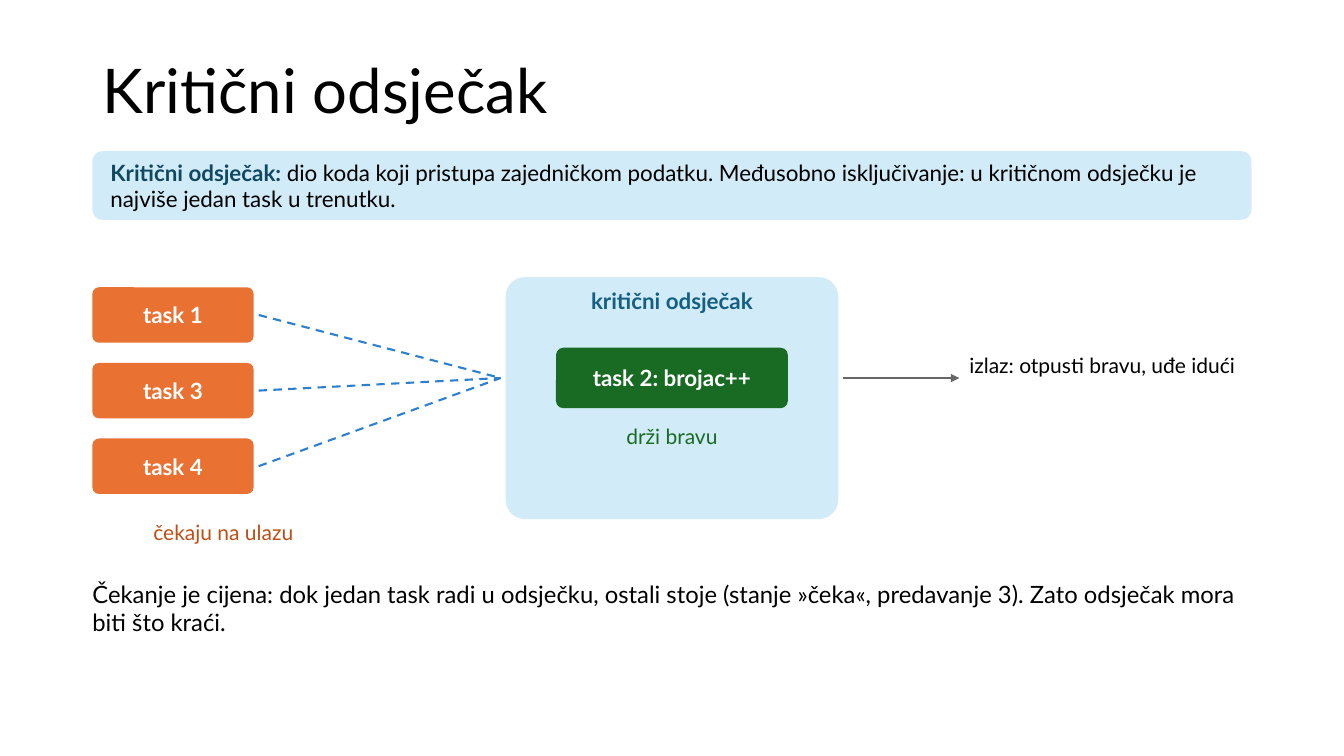
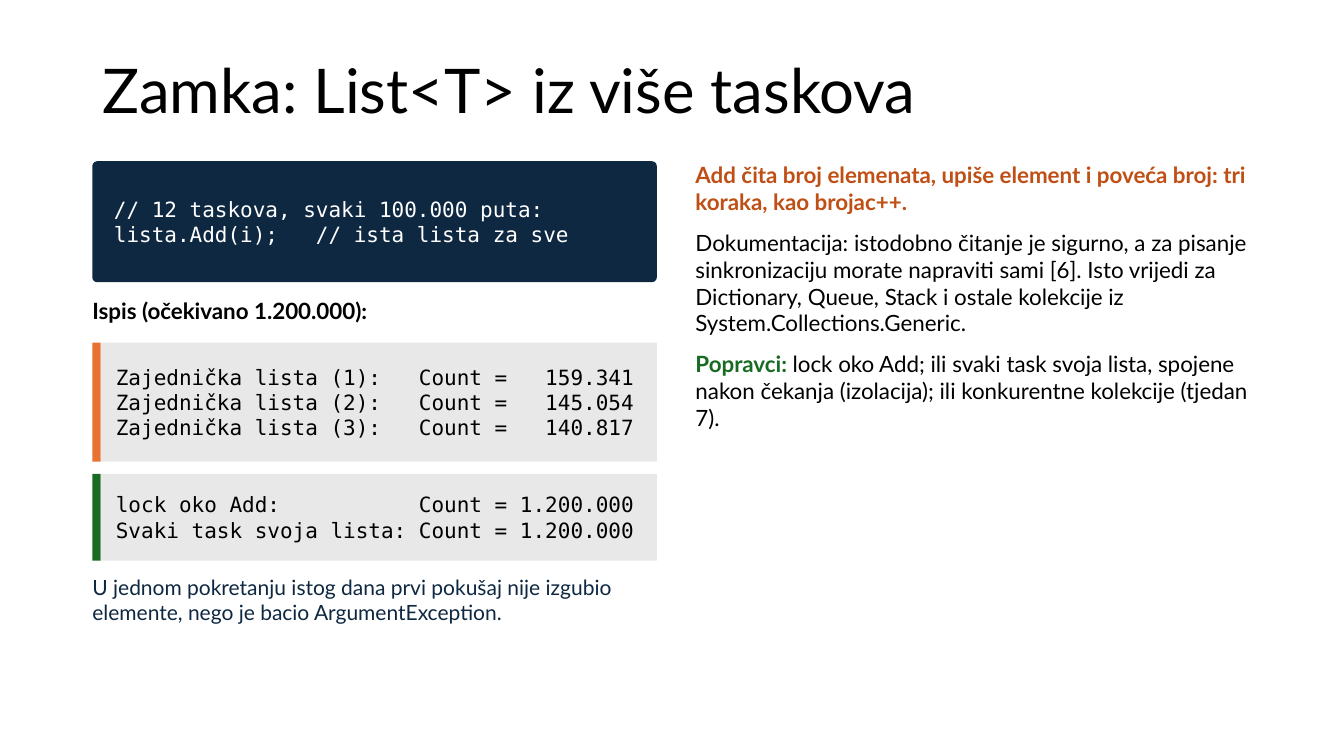
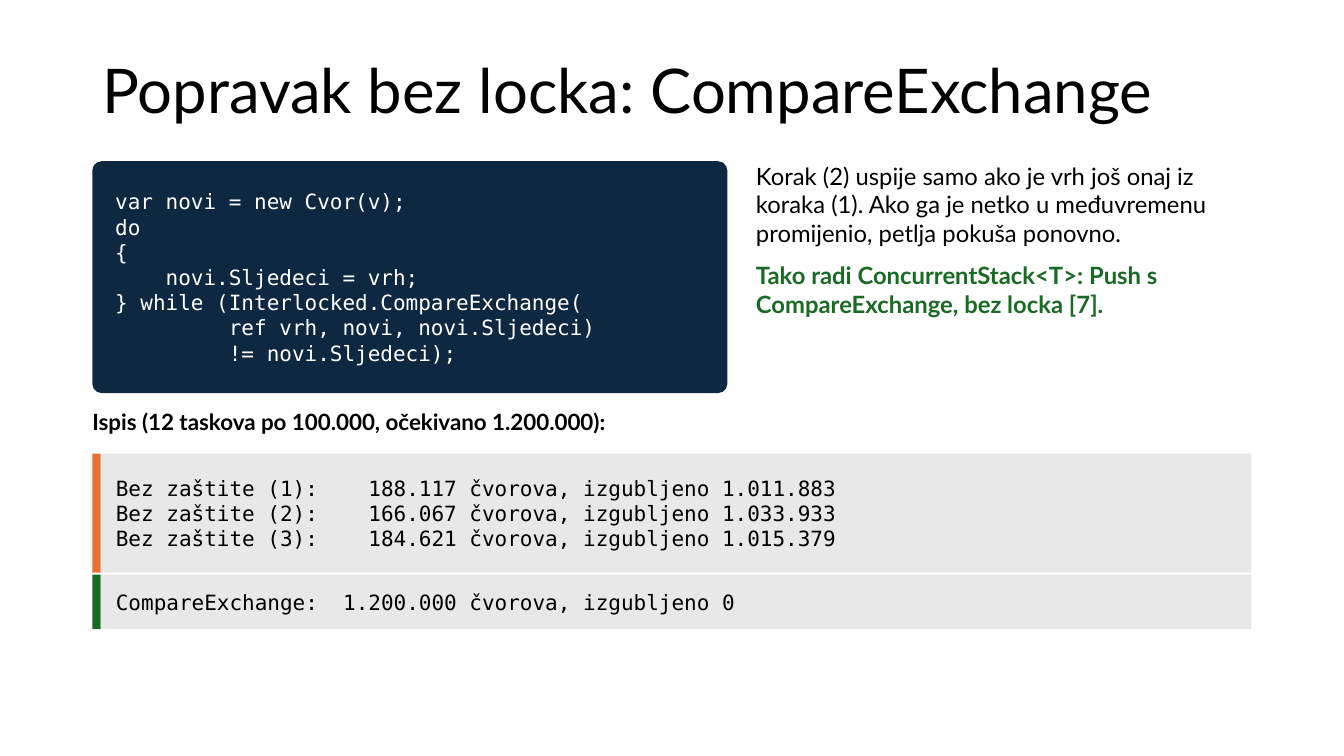
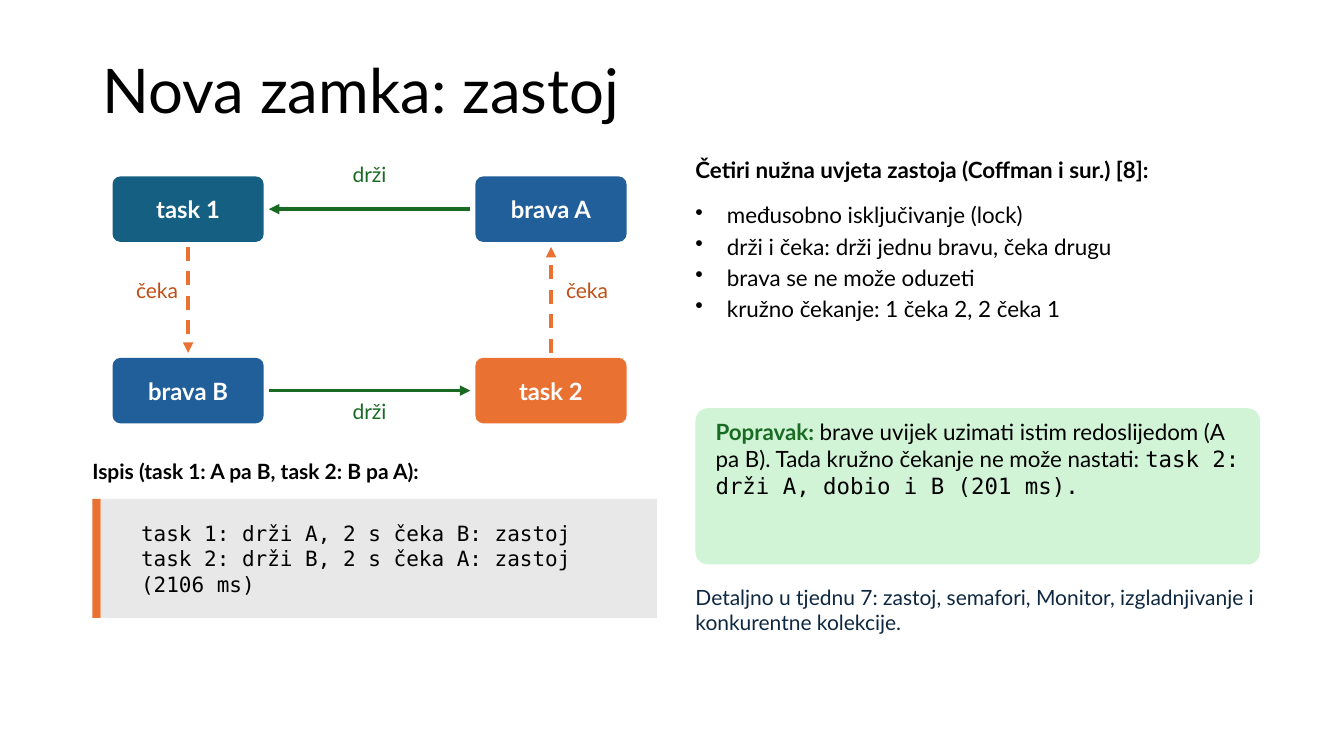
from dataclasses import dataclass
from typing import Optional, Sequence, Union

from lxml.etree import SubElement
from pptx import Presentation
from pptx.dml.color import RGBColor
from pptx.enum.dml import MSO_LINE
from pptx.enum.shapes import MSO_CONNECTOR, MSO_SHAPE
from pptx.enum.text import MSO_ANCHOR, MSO_AUTO_SIZE, PP_ALIGN
from pptx.oxml.ns import qn
from pptx.presentation import Presentation as Deck
from pptx.shapes.autoshape import Shape
from pptx.slide import Slide
from pptx.text.text import TextFrame
from pptx.util import Pt

COLORS = {
    "black": "000000",
    "white": "FFFFFF",
    "navy": "0E2841",
    "teal": "156082",
    "deep_teal": "104862",
    "blue": "215F9A",
    "wait_blue": "2D7FCF",
    "pale_blue": "D1EBF8",
    "green": "196B24",
    "pale_green": "D1F4D6",
    "orange": "E97132",
    "rust": "C04F15",
    "grey": "666666",
    "pale_grey": "E8E8E8",
}
SANS = "Lato"
MONO = "DejaVu Sans Mono"
LEFT = 66
WIDTH = 828
HALF = 403.2
RIGHT_COLUMN = 496.8
BAR = 6
GAP = 3.6
NO_INSETS = (0, 0, 0, 0)


@dataclass(frozen=True)
class Box:
    left: float
    top: float
    width: float
    height: float

    @property
    def right(self) -> float:
        return self.left + self.width

    @property
    def bottom(self) -> float:
        return self.top + self.height

    @property
    def center(self) -> float:
        return self.left + self.width / 2

    @property
    def middle(self) -> float:
        return self.top + self.height / 2

    def lengths(self) -> tuple:
        return Pt(self.left), Pt(self.top), Pt(self.width), Pt(self.height)


@dataclass(frozen=True)
class Span:
    text: str
    color: Optional[str] = None
    bold: bool = False
    font: Optional[str] = None


@dataclass(frozen=True)
class Node:
    label: str
    box: Box
    color: str


@dataclass(frozen=True)
class Arrow:
    start: tuple[float, float]
    end: tuple[float, float]
    color: str
    weight: float
    dashed: bool = False
    head: bool = True


@dataclass(frozen=True)
class Label:
    text: str
    box: Box
    color: str
    align: PP_ALIGN = PP_ALIGN.CENTER


Line = Union[str, Sequence[Span]]


def rgb(name: str) -> RGBColor:
    return RGBColor.from_string(COLORS[name])


def write(frame: TextFrame, lines: Sequence[Line], *, size: float = 16,
          color: str = "black", bold: bool = False, font: str = SANS,
          align: PP_ALIGN = PP_ALIGN.LEFT, anchor: MSO_ANCHOR = MSO_ANCHOR.TOP,
          insets: Sequence[float] = NO_INSETS, after: float = 0,
          indent: float = 0, bullet: str = "",
          line_spacing: Optional[float] = None) -> None:
    frame.word_wrap = True
    frame.vertical_anchor = anchor
    (frame.margin_left, frame.margin_top,
     frame.margin_right, frame.margin_bottom) = map(Pt, insets)
    for index, line in enumerate(lines):
        paragraph = frame.add_paragraph() if index else frame.paragraphs[0]
        if indent:
            properties = paragraph._p.get_or_add_pPr()
            properties.set("marL", str(Pt(indent)))
            if bullet:
                properties.set("indent", str(-Pt(indent)))
                SubElement(properties, qn("a:buChar")).set("char", bullet)
        paragraph.alignment = align
        if after:
            paragraph.space_after = Pt(after)
        if line_spacing:
            paragraph.line_spacing = line_spacing
        for span in [Span(line)] if isinstance(line, str) else line:
            run = paragraph.add_run()
            run.text = span.text
            run.font.size = Pt(size)
            run.font.name = span.font or font
            run.font.bold = bold or span.bold
            run.font.color.rgb = rgb(span.color or color)


def add_text(slide: Slide, box: Box, lines: Sequence[Line], **text_format) -> None:
    frame = slide.shapes.add_textbox(*box.lengths()).text_frame
    write(frame, lines, **text_format)
    frame.auto_size = MSO_AUTO_SIZE.SHAPE_TO_FIT_TEXT


def add_block(slide: Slide, box: Box, color: str, rounding: float = 0) -> Shape:
    preset = MSO_SHAPE.ROUNDED_RECTANGLE if rounding else MSO_SHAPE.RECTANGLE
    block = slide.shapes.add_shape(preset, *box.lengths())
    if rounding:
        block.adjustments[0] = rounding
    block.shadow.inherit = False
    block.fill.solid()
    block.fill.fore_color.rgb = rgb(color)
    block.line.fill.background()
    return block


def add_node(slide: Slide, node: Node, size: float = 16) -> None:
    block = add_block(slide, node.box, node.color, 0.12)
    write(block.text_frame, [node.label], size=size, color="white", bold=True,
          align=PP_ALIGN.CENTER, anchor=MSO_ANCHOR.MIDDLE,
          insets=(3.6, 1.44, 3.6, 1.44))


def add_label(slide: Slide, label: Label) -> None:
    add_text(slide, label.box, [label.text], size=15, color=label.color,
             align=label.align)


def add_arrow(slide: Slide, arrow: Arrow) -> None:
    connector = slide.shapes.add_connector(
        MSO_CONNECTOR.STRAIGHT, *map(Pt, arrow.start + arrow.end))
    connector.line.color.rgb = rgb(arrow.color)
    connector.line.width = Pt(arrow.weight)
    if arrow.dashed:
        connector.line.dash_style = MSO_LINE.DASH
    if arrow.head:
        outline = connector.line._get_or_add_ln()
        SubElement(outline, qn("a:tailEnd")).set("type", "triangle")
    SubElement(connector._element.spPr, qn("a:effectLst"))


def add_code(slide: Slide, box: Box, lines: Sequence[str]) -> None:
    block = add_block(slide, box, "navy", 0.04)
    write(block.text_frame, lines, size=15, color="white", font=MONO,
          anchor=MSO_ANCHOR.MIDDLE, insets=(14.4, 3.6, 7.2, 3.6))


def add_output(slide: Slide, top: float, width: float, color: str,
               lines: Sequence[str], indent: float = 0) -> None:
    height = 16 + 23 * len(lines)
    add_block(slide, Box(LEFT, top, BAR, height), color)
    panel = add_block(slide, Box(LEFT + BAR, top, width - BAR, height), "pale_grey")
    write(panel.text_frame, lines, size=15, font=MONO, anchor=MSO_ANCHOR.MIDDLE,
          insets=(10.8, 3.6, 7.2, 3.6), indent=indent)


def add_heading(slide: Slide, left: float, top: float, text: str,
                width: float = HALF, size: float = 16) -> None:
    add_text(slide, Box(left, top, width, 28.8), [text], size=size, bold=True)


def add_slide(deck: Deck, title: str) -> Slide:
    slide = deck.slides.add_slide(deck.slide_layouts[5])
    heading = slide.shapes.title
    heading.left, heading.top, heading.width, heading.height = Box(
        LEFT, 28.8, WIDTH, 76.3).lengths()
    write(heading.text_frame, [title], size=44, anchor=MSO_ANCHOR.MIDDLE,
          insets=(7.2, 3.6, 7.2, 3.6), line_spacing=0.9)
    heading.text_frame.auto_size = MSO_AUTO_SIZE.NONE
    return slide


def critical_section(deck: Deck) -> None:
    slide = add_slide(deck, "Kritični odsječak")
    definition = add_block(slide, Box(LEFT, 108, WIDTH, 49), "pale_blue", 0.15)
    write(definition.text_frame, [[
        Span("Kritični odsječak: ", "deep_teal", True),
        Span("dio koda koji pristupa zajedničkom podatku. Međusobno isključivanje: "
             "u kritičnom odsječku je najviše jedan task u trenutku."),
    ]], anchor=MSO_ANCHOR.MIDDLE, insets=(10.8, 3.6, 10.8, 3.6))

    section = Box(361.2, 198, 237.6, 172.8)
    holder = Box(397.2, 248.4, 165.6, 43.2)
    add_block(slide, section, "pale_blue", 0.08)
    add_text(slide, Box(section.left, 205.2, section.width, 28.8),
             ["kritični odsječak"], color="teal", bold=True, align=PP_ALIGN.CENTER)
    add_node(slide, Node("task 2: brojac++", holder, "green"))
    add_label(slide, Label("drži bravu", Box(section.left, 302.4, section.width, 57.6),
                           "green"))

    for row, task in enumerate(("task 1", "task 3", "task 4")):
        box = Box(LEFT, 205.2 + 54 * row, 115.2, 39.6)
        add_node(slide, Node(task, box, "orange"))
        add_arrow(slide, Arrow((box.right + GAP, box.middle),
                               (section.left - GAP, holder.middle),
                               "wait_blue", 1.5, dashed=True, head=False))
    add_label(slide, Label("čekaju na ulazu", Box(LEFT, 370.8, 187.2, 28.8), "rust"))

    add_arrow(slide, Arrow((section.right + GAP, holder.middle),
                           (685.2, holder.middle), "grey", 2))
    add_label(slide, Label("izlaz: otpusti bravu, uđe idući",
                           Box(692.4, 252, 201.6, 43.2), "black", PP_ALIGN.LEFT))
    add_text(slide, Box(LEFT, 414, WIDTH, 72), [
        "Čekanje je cijena: dok jedan task radi u odsječku, ostali stoje "
        "(stanje »čeka«, predavanje 3). Zato odsječak mora biti što kraći.",
    ], size=17)


def list_trap(deck: Deck) -> None:
    slide = add_slide(deck, "Zamka: List<T> iz više taskova")
    add_code(slide, Box(LEFT, 115.2, HALF, 86.4), [
        "// 12 taskova, svaki 100.000 puta:",
        "lista.Add(i);   // ista lista za sve",
    ])
    add_heading(slide, LEFT, 212.4, "Ispis (očekivano 1.200.000):")
    add_output(slide, 244.8, HALF, "orange", [
        "Zajednička lista (1):   Count =   159.341",
        "Zajednička lista (2):   Count =   145.054",
        "Zajednička lista (3):   Count =   140.817",
    ])
    add_output(slide, 338.4, HALF, "green", [
        "lock oko Add:           Count = 1.200.000",
        "Svaki task svoja lista: Count = 1.200.000",
    ])
    add_text(slide, Box(LEFT, 410.4, HALF, 79.2), [
        "U jednom pokretanju istog dana prvi pokušaj nije izgubio elemente, "
        "nego je bacio ArgumentException.",
    ], size=15, color="navy")
    add_text(slide, Box(RIGHT_COLUMN, 115.2, HALF, 374.4), [
        [Span("Add čita broj elemenata, upiše element i poveća broj: tri koraka, "
              "kao brojac++.", "rust", True)],
        "Dokumentacija: istodobno čitanje je sigurno, a za pisanje sinkronizaciju "
        "morate napraviti sami [6]. Isto vrijedi za Dictionary, Queue, Stack i "
        "ostale kolekcije iz System.Collections.Generic.",
        [Span("Popravci: ", "green", True),
         Span("lock oko Add; ili svaki task svoja lista, spojene nakon čekanja "
              "(izolacija); ili konkurentne kolekcije (tjedan 7).")],
    ], after=10)


def lock_free_fix(deck: Deck) -> None:
    slide = add_slide(deck, "Popravak bez locka: CompareExchange")
    code = Box(LEFT, 115.2, 453.6, 165.6)
    add_code(slide, code, [
        "var novi = new Cvor(v);",
        "do",
        "{",
        "    novi.Sljedeci = vrh;",
        "} while (Interlocked.CompareExchange(",
        "         ref vrh, novi, novi.Sljedeci)",
        "         != novi.Sljedeci);",
    ])
    add_heading(slide, LEFT, 291.6,
                "Ispis (12 taskova po 100.000, očekivano 1.200.000):", code.width)
    add_output(slide, 324, WIDTH, "orange", [
        "Bez zaštite (1):    188.117 čvorova, izgubljeno 1.011.883",
        "Bez zaštite (2):    166.067 čvorova, izgubljeno 1.033.933",
        "Bez zaštite (3):    184.621 čvorova, izgubljeno 1.015.379",
    ])
    add_output(slide, 410.4, WIDTH, "green", [
        "CompareExchange:  1.200.000 čvorova, izgubljeno 0",
    ])
    add_text(slide, Box(540, 115.2, 360, 201.6), [
        "Korak (2) uspije samo ako je vrh još onaj iz koraka (1). Ako ga je netko "
        "u međuvremenu promijenio, petlja pokuša ponovno.",
        [Span("Tako radi ConcurrentStack<T>: Push s CompareExchange, bez locka [7].",
              "green", True)],
    ], size=17, after=10)


def deadlock(deck: Deck) -> None:
    slide = add_slide(deck, "Nova zamka: zastoj")
    task_1, lock_a, lock_b, task_2 = (
        Box(left, top, 108, 46.8) for top in (126, 255.6) for left in (80.4, 339.6))
    for node in (
        Node("task 1", task_1, "teal"),
        Node("brava A", lock_a, "blue"),
        Node("brava B", lock_b, "blue"),
        Node("task 2", task_2, "orange"),
    ):
        add_node(slide, node, 17)

    inner_left, inner_right = task_1.right + GAP, lock_a.left - GAP
    inner_top, inner_bottom = task_1.bottom + GAP, lock_b.top - GAP
    for arrow in (
        Arrow((inner_right, task_1.middle), (inner_left, task_1.middle), "green", 2.5),
        Arrow((task_1.center, inner_top), (task_1.center, inner_bottom),
              "orange", 2.5, dashed=True),
        Arrow((inner_left, task_2.middle), (inner_right, task_2.middle), "green", 2.5),
        Arrow((task_2.center, inner_bottom), (task_2.center, inner_top),
              "orange", 2.5, dashed=True),
    ):
        add_arrow(slide, arrow)
    for label in (
        Label("drži", Box(195.6, 115.2, 136.8, 28.8), "green"),
        Label("čeka", Box(33.6, 198, 93.6, 28.8), "rust", PP_ALIGN.RIGHT),
        Label("drži", Box(195.6, 284.4, 136.8, 28.8), "green"),
        Label("čeka", Box(404.4, 198, 93.6, 28.8), "rust", PP_ALIGN.LEFT),
    ):
        add_label(slide, label)

    add_heading(slide, LEFT, 327.6, "Ispis (task 1: A pa B, task 2: B pa A):", size=15)
    add_output(slide, 356.4, HALF, "orange", [
        "task 1: drži A, 2 s čeka B: zastoj",
        "task 2: drži B, 2 s čeka A: zastoj",
        "(2106 ms)",
    ], indent=18)

    add_heading(slide, RIGHT_COLUMN, 111.6,
                "Četiri nužna uvjeta zastoja (Coffman i sur.) [8]:")
    add_text(slide, Box(RIGHT_COLUMN, 144, HALF, 144), [
        "međusobno isključivanje (lock)",
        "drži i čeka: drži jednu bravu, čeka drugu",
        "brava se ne može oduzeti",
        "kružno čekanje: 1 čeka 2, 2 čeka 1",
    ], after=3, indent=22.5, bullet="•")
    add_block(slide, Box(RIGHT_COLUMN, 291.6, HALF, 111.6), "pale_green", 0.08)
    add_text(slide, Box(511.2, 298.8, 374.4, 100.8), [[
        Span("Popravak: ", "green", True),
        Span("brave uvijek uzimati istim redoslijedom (A pa B). Tada kružno čekanje "
             "ne može nastati: "),
        Span("task 2: drži A, dobio i B (201 ms).", font=MONO),
    ]])
    add_text(slide, Box(RIGHT_COLUMN, 417.6, HALF, 72), [
        "Detaljno u tjednu 7: zastoj, semafori, Monitor, izgladnjivanje i "
        "konkurentne kolekcije.",
    ], size=15, color="navy")


def main() -> None:
    deck = Presentation()
    deck.slide_width, deck.slide_height = Pt(960), Pt(540)
    for build in (critical_section, list_trap, lock_free_fix, deadlock):
        build(deck)
    deck.save("out.pptx")


if __name__ == "__main__":
    main()
